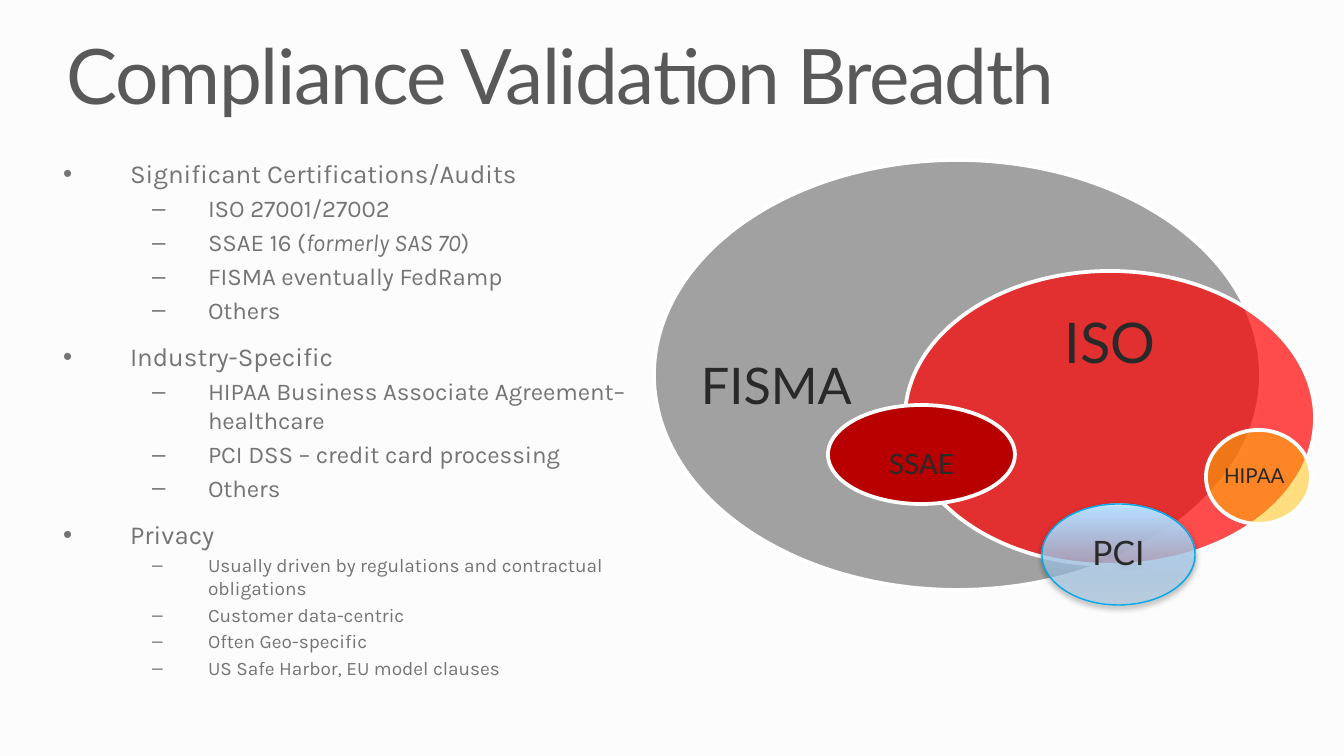
from dataclasses import dataclass

from lxml import etree
from pptx import Presentation
from pptx import util as u
from pptx.dml.color import RGBColor
from pptx.enum import shapes, text
from pptx.oxml.ns import qn

EMU_PER_PX = 914400 / 134.4


def px(length):
    return u.Emu(round(length * EMU_PER_PX))


@dataclass(frozen=True)
class Theme:
    heading_font: str = "Lato"
    body_font: str = "Karla"
    background: str = "FCFCFC"
    title: str = "595959"
    body: str = "747474"
    label: str = "292929"
    outline: str = "FFFFFF"
    gray: str = "474747"
    red: str = "FF0000"
    amber: str = "FFC000"
    dark_red: str = "B80000"
    blue_line: str = "00AAEA"
    # position, colour, opacity in percent
    blue_stops: tuple = ((0, "A6CEF2", 46), (95, "B8DDFF", 100), (100, "D9ECFF", 100))
    title_size: float = 41
    topic_size: float = 13.9
    item_size: float = 12.9
    small_size: float = 10.2


def add_color(parent, color, opacity):
    element = etree.SubElement(parent, qn("a:srgbClr"), val=color)
    etree.SubElement(element, qn("a:alpha"), val=str(opacity * 1000))


class SlideBuilder:
    def __init__(self, presentation, theme):
        self.theme = theme
        self.slide = presentation.slides.add_slide(presentation.slide_layouts[1])
        background = self.slide.background.fill
        background.solid()
        background.fore_color.rgb = RGBColor.from_string(theme.background)

    def style(self, font, name, size, color):
        font.name = name
        font.size = u.Pt(size)
        font.color.rgb = RGBColor.from_string(color)

    def frame(self, shape, margins, anchor):
        frame = shape.text_frame
        frame.word_wrap = True
        frame.auto_size = text.MSO_AUTO_SIZE.NONE
        frame.vertical_anchor = anchor
        (frame.margin_left, frame.margin_top,
         frame.margin_right, frame.margin_bottom) = map(px, margins)
        return frame

    def place(self, shape, box):
        shape.left, shape.top, shape.width, shape.height = map(px, box)

    def title(self, wording, box):
        shape = self.slide.shapes.title
        self.place(shape, box)
        frame = self.frame(shape, (0, 0, 0, 0), text.MSO_ANCHOR.TOP)
        frame.text = wording
        paragraph = frame.paragraphs[0]
        paragraph.alignment = text.PP_ALIGN.LEFT
        paragraph.line_spacing = 0.9
        run = paragraph.runs[0]
        self.style(run.font, self.theme.heading_font, self.theme.title_size, self.theme.title)
        run.font.bold = False
        run.font.element.set("spc", "-80") if hasattr(run.font, "element") else \
            run._r.get_or_add_rPr().set("spc", "-80")

    def outline(self, topics, box):
        """Fill the body with (topic, item size, items); *stars* mark italics."""
        shape = self.slide.placeholders[1]
        self.place(shape, box)
        frame = self.frame(shape, (13, 7, 13, 7), text.MSO_ANCHOR.TOP)
        lines = []
        for topic, item_size, items in topics:
            lines.append((0, self.theme.topic_size, topic))
            lines += [(1, item_size, item) for item in items]
        for index, (level, size, wording) in enumerate(lines):
            paragraph = frame.add_paragraph() if index else frame.paragraphs[0]
            paragraph.level = level
            if level == 0:
                paragraph.space_before = u.Pt(9 if index else 0)
            margin, indent = ((67, -67), (145, -56))[level]
            properties = paragraph._p.get_or_add_pPr()
            properties.set("marL", str(px(margin)))
            properties.set("indent", str(px(indent)))
            for part_index, part in enumerate(wording.split("*")):
                run = paragraph.add_run()
                run.text = part
                self.style(run.font, self.theme.body_font, size, self.theme.body)
                if part_index % 2:
                    run.font.italic = True

    def ellipse(self, label, box, size, line, line_width, margins, wrap=True):
        shape = self.slide.shapes.add_shape(shapes.MSO_SHAPE.OVAL, *map(px, box))
        shape.shadow.inherit = False
        shape.line.color.rgb = RGBColor.from_string(line)
        shape.line.width = u.Pt(line_width)
        frame = self.frame(shape, margins, text.MSO_ANCHOR.MIDDLE)
        frame.word_wrap = wrap
        frame.text = label
        paragraph = frame.paragraphs[0]
        paragraph.alignment = text.PP_ALIGN.CENTER
        paragraph.line_spacing = 0.9
        self.style(paragraph.runs[0].font, self.theme.heading_font, size, self.theme.label)
        return shape

    def scope(self, label, box, size, color, opacity, margins, wrap=True):
        """Draw a flat, see-through ellipse with a white outline."""
        shape = self.ellipse(label, box, size, self.theme.outline, 2, margins, wrap)
        shape.fill.solid()
        shape.fill.fore_color.rgb = RGBColor.from_string(color)
        solid_color = shape._element.spPr.find(qn("a:solidFill"))[0]
        etree.SubElement(solid_color, qn("a:alpha"), val=str(opacity * 1000))

    def glossy_scope(self, label, box, size):
        """Draw an ellipse with a vertical gradient and a soft shadow."""
        shape = self.ellipse(label, box, size, self.theme.blue_line, 0.75, (0, 0, 0, 0))
        shape.fill.gradient()
        shape.fill.gradient_angle = 90
        properties = shape._element.spPr
        stops = properties.find(".//" + qn("a:gsLst"))
        for stop in list(stops):
            stops.remove(stop)
        for position, color, opacity in self.theme.blue_stops:
            stop = etree.SubElement(stops, qn("a:gs"), pos=str(position * 1000))
            add_color(stop, color, opacity)
        shadow = etree.SubElement(
            properties.find(qn("a:effectLst")), qn("a:outerShdw"),
            blurRad=str(u.Pt(3.1)), dist=str(u.Pt(1.6)), dir="5400000", rotWithShape="0")
        add_color(shadow, "000000", 38)


def main():
    theme = Theme()
    presentation = Presentation()
    presentation.slide_width, presentation.slide_height = px(1344), px(756)
    builder = SlideBuilder(presentation, theme)

    builder.title("Compliance Validation Breadth", (67, 38, 1210, 83))
    builder.outline([
        ("Significant Certifications/Audits", theme.item_size, [
            "ISO 27001/27002",
            "SSAE 16 (*formerly SAS 70*)",
            "FISMA eventually FedRamp",
            "Others",
        ]),
        ("Industry-Specific", theme.item_size, [
            "HIPAA Business Associate Agreement– healthcare",
            "PCI DSS – credit card processing",
            "Others",
        ]),
        ("Privacy", theme.small_size, [
            "Usually driven by regulations and contractual obligations",
            "Customer data-centric",
            "Often Geo-specific",
            "US Safe Harbor, EU model clauses",
        ]),
    ], (50, 151, 645, 538))

    builder.scope("FISMA", (654, 160, 607, 430), 27, theme.gray, 50, (0, 26, 362, 0), wrap=False)
    builder.scope("ISO", (905, 271, 410, 294), 30, theme.red, 70, (0, 0, 0, 145))
    builder.scope("HIPAA", (1206, 430, 105, 94), 11, theme.amber, 50, (0, 0, 8, 0))
    builder.scope("SSAE", (828, 405, 187, 99), 15, theme.dark_red, 100, (0, 22, 0, 0))
    builder.glossy_scope("PCI", (1042, 504, 153, 101), 18)
    presentation.save("out.pptx")


if __name__ == "__main__":
    main()
